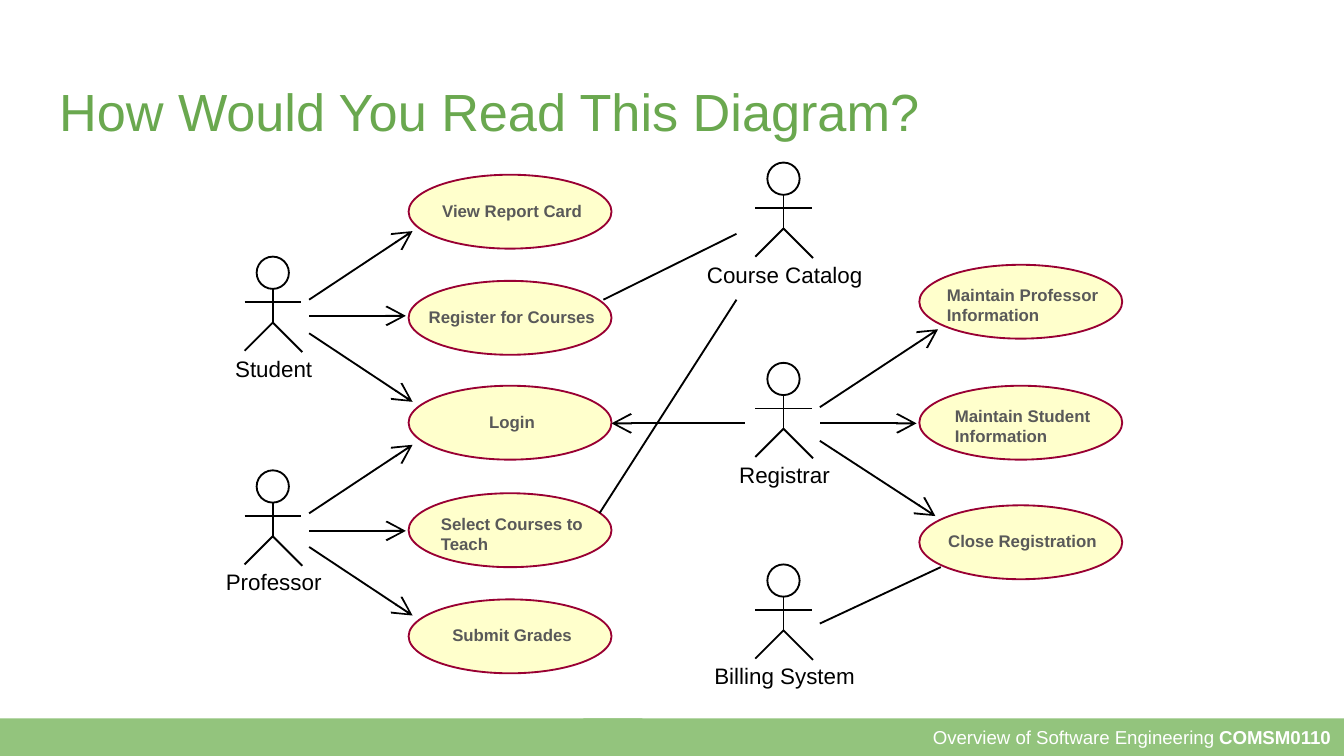
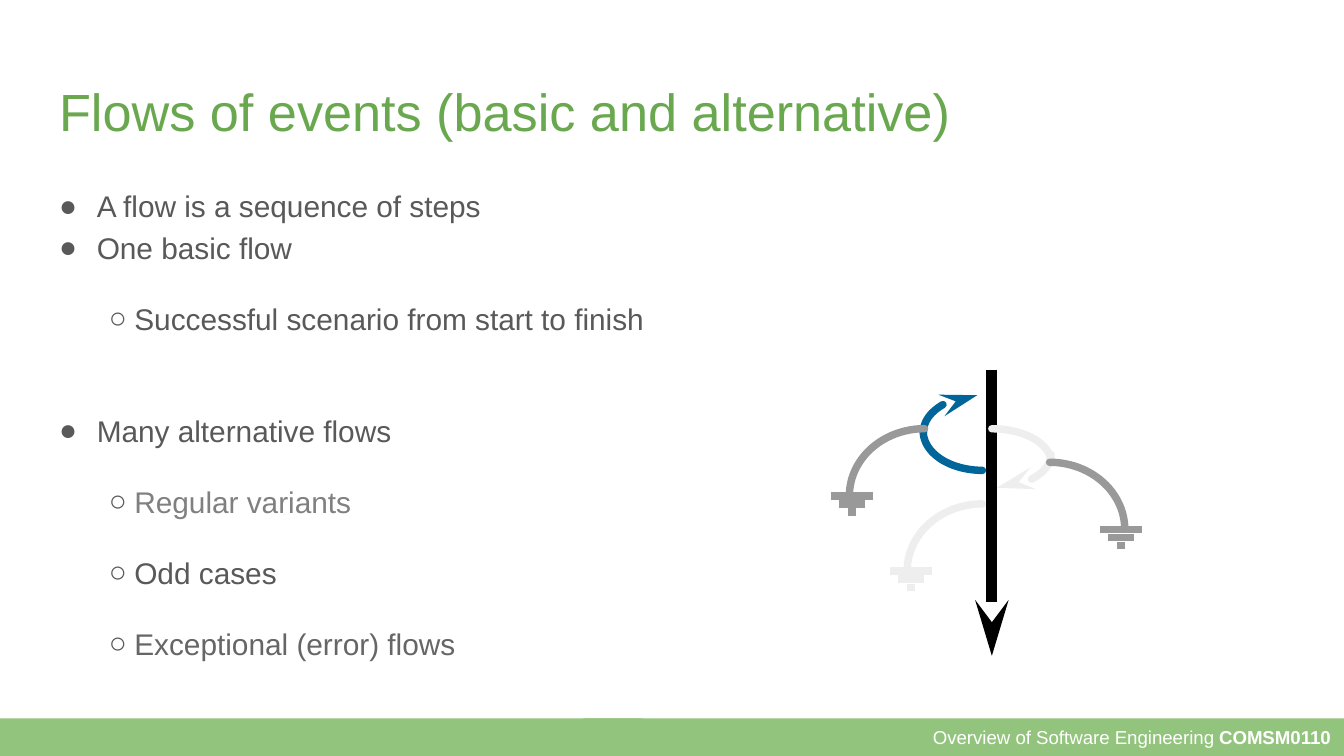
from dataclasses import dataclass
from math import cos, radians, sin

from lxml import etree
from pptx import Presentation
from pptx.dml.color import RGBColor
from pptx.enum.shapes import MSO_CONNECTOR, MSO_SHAPE
from pptx.enum.text import MSO_ANCHOR, MSO_AUTO_SIZE, PP_ALIGN
from pptx.oxml.ns import qn
from pptx.util import Inches, Pt

FONT = "Arial"
WHITE = RGBColor(0xFF, 0xFF, 0xFF)
BLACK = RGBColor(0x00, 0x00, 0x00)
BAND_GREEN = RGBColor(0x93, 0xC4, 0x7D)
TITLE_GREEN = RGBColor(0x6A, 0xA8, 0x4F)
TEXT_GREY = RGBColor(0x59, 0x59, 0x59)
VARIANT_GREY = RGBColor(0x80, 0x80, 0x80)
ERROR_GREY = RGBColor(0x66, 0x66, 0x66)
OVAL_FILL = RGBColor(0xFF, 0xFF, 0xCC)
OVAL_LINE = RGBColor(0x99, 0x00, 0x33)
FLOW_BLUE = RGBColor(0x00, 0x66, 0x99)
FLOW_GREY = RGBColor(0x99, 0x99, 0x99)
FLOW_PALE = RGBColor(0xEE, 0xEE, 0xEE)

PAGE_WIDTH = 10
PAGE_HEIGHT = PAGE_WIDTH * 9 / 16
BAND_HEIGHT = 0.28
LEFT_OVALS, RIGHT_OVALS = 3.04, 6.84
LEFT_ACTORS, RIGHT_ACTORS = 2.03, 5.83


@dataclass
class UseCase:
    lines: list[str]
    left: float
    top: float
    text_width: float


@dataclass
class Actor:
    name: str
    center: float
    top: float
    label_width: float


@dataclass
class Link:
    start: tuple[float, float]
    end: tuple[float, float]
    arrow: bool = True


@dataclass
class Arc:
    """A piece of an ellipse; angles in degrees, clockwise from the right."""
    center: tuple[float, float]
    radii: tuple[float, float]
    start: int
    end: int
    color: RGBColor
    arrow: bool = False


@dataclass
class Ground:
    center: float
    top: float
    color: RGBColor


@dataclass
class Bullet:
    text: str
    level: int = 0
    color: RGBColor = TEXT_GREY
    space_before: int = 0


USE_CASES = [
    UseCase(["View Report Card"], LEFT_OVALS, 1.3, 1.2),
    UseCase(["Register for Courses"], LEFT_OVALS, 2.09, 1.4),
    UseCase(["Login"], LEFT_OVALS, 2.87, 0.5),
    UseCase(["Select Courses to", "Teach"], LEFT_OVALS, 3.67, 1.22),
    UseCase(["Submit Grades"], LEFT_OVALS, 4.46, 1.05),
    UseCase(["Maintain Professor", "Information"], RIGHT_OVALS, 1.97, 1.29),
    UseCase(["Maintain Student", "Information"], RIGHT_OVALS, 2.87, 1.17),
    UseCase(["Close Registration"], RIGHT_OVALS, 3.76, 1.27),
]
ACTORS = [
    Actor("Student", LEFT_ACTORS, 1.91, 0.76),
    Actor("Professor", LEFT_ACTORS, 3.5, 0.9),
    Actor("Course Catalog", RIGHT_ACTORS, 1.21, 1.34),
    Actor("Registrar", RIGHT_ACTORS, 2.7, 0.86),
    Actor("Billing System", RIGHT_ACTORS, 4.2, 1.23),
]
LINKS = [
    Link((3.07, 1.72), (2.3, 2.23)),
    Link((3.02, 2.35), (2.3, 2.35)),
    Link((3.07, 2.99), (2.3, 2.48)),
    Link((3.07, 3.31), (2.3, 3.82)),
    Link((3.02, 3.95), (2.3, 3.95)),
    Link((3.07, 4.58), (2.3, 4.07)),
    Link((4.55, 3.15), (5.54, 3.15)),
    Link((6.98, 2.45), (6.1, 3.03)),
    Link((6.82, 3.15), (6.1, 3.15)),
    Link((6.96, 3.84), (6.1, 3.28)),
    Link((4.46, 3.82), (5.48, 2.23), arrow=False),
    Link((4.49, 2.23), (5.48, 1.74), arrow=False),
    Link((6.1, 4.64), (7, 4.22), arrow=False),
]
ARCS = [
    Arc((7.38, 3.44), (0.44, 0.25), -90, 0, FLOW_PALE),
    Arc((7.38, 3.38), (0.44, 0.25), 0, 85, FLOW_PALE, arrow=True),
    Arc((7.31, 3.21), (0.44, 0.29), 90, 180, FLOW_BLUE),
    Arc((7.31, 3.22), (0.44, 0.28), 180, 265, FLOW_BLUE, arrow=True),
    Arc((7.81, 3.94), (0.56, 0.5), -90, 0, FLOW_GREY),
    Arc((7.31, 4.25), (0.56, 0.5), 180, 270, FLOW_PALE),
    Arc((6.88, 3.69), (0.56, 0.5), 180, 270, FLOW_GREY),
]
GROUNDS = [
    Ground(8.34, 3.94, FLOW_GREY),
    Ground(6.78, 4.25, FLOW_PALE),
    Ground(6.34, 3.69, FLOW_GREY),
]
BULLETS = [
    Bullet("A flow is a sequence of steps"),
    Bullet("One basic flow"),
    Bullet("Successful scenario from start to finish", 1, space_before=16),
    Bullet("Many alternative flows", space_before=38),
    Bullet("Regular variants", 1, VARIANT_GREY, 16),
    Bullet("Odd cases", 1, space_before=16),
    Bullet("Exceptional (error) flows", 1, ERROR_GREY, 16),
]


def place(shape, left: float, top: float, width: float, height: float) -> None:
    shape.left, shape.top = Inches(left), Inches(top)
    shape.width, shape.height = Inches(width), Inches(height)


def set_margins(frame, across: float, down: float) -> None:
    frame.margin_left = frame.margin_right = Inches(across)
    frame.margin_top = frame.margin_bottom = Inches(down)


def format_runs(para, size: float, color: RGBColor, bold: bool = False) -> None:
    for span in para.runs:
        span.font.name = FONT
        span.font.size = Pt(size)
        span.font.color.rgb = color
        span.font.bold = bold


def set_line(shape, color: RGBColor, width: float) -> None:
    shape.line.color.rgb = color
    shape.line.width = Pt(width)


def add_arrowhead(shape, end: str, kind: str, width: str) -> None:
    outline = shape._element.spPr.find(qn("a:ln"))
    etree.SubElement(outline, qn(f"a:{end}"), type=kind, w=width, len="lg")


def add_line(page, start, end, color: RGBColor = BLACK, width: float = 1):
    line = page.shapes.add_connector(
        MSO_CONNECTOR.STRAIGHT, *(Inches(value) for value in (*start, *end)))
    set_line(line, color, width)
    etree.SubElement(line._element.spPr, qn("a:effectLst"))
    return line


def add_outline(page, points, color: RGBColor, width: float):
    """Draw an open, unfilled outline through the points."""
    corners = [(Inches(x), Inches(y)) for x, y in points]
    builder = page.shapes.build_freeform(*corners[0])
    builder.add_line_segments(corners[1:], close=False)
    outline = builder.convert_to_shape()
    outline.shadow.inherit = False
    outline.fill.background()
    set_line(outline, color, width)
    return outline


def add_preset(page, kind, left: float, top: float, width: float, height: float):
    shape = page.shapes.add_shape(
        kind, Inches(left), Inches(top), Inches(width), Inches(height))
    shape.shadow.inherit = False
    return shape


def add_label(page, lines, left, top, width, height, margin, size, color,
              bold=False) -> None:
    box = page.shapes.add_textbox(
        Inches(left), Inches(top), Inches(width), Inches(height))
    frame = box.text_frame
    set_margins(frame, margin, 0.04)
    frame.word_wrap = False
    frame.auto_size = MSO_AUTO_SIZE.SHAPE_TO_FIT_TEXT
    frame.text = "\n".join(lines)
    for para in frame.paragraphs:
        format_runs(para, size, color, bold)


def add_footer(page) -> None:
    bands = [add_preset(page, MSO_SHAPE.RECTANGLE, left,
                        PAGE_HEIGHT - BAND_HEIGHT, width, BAND_HEIGHT)
             for left, width in ((4.34, 5.66), (0, 4.78))]
    for band in bands:
        band.fill.solid()
        band.fill.fore_color.rgb = BAND_GREEN
        band.line.fill.background()
    frame = bands[0].text_frame
    set_margins(frame, 0.1, 0.1)
    frame.vertical_anchor = MSO_ANCHOR.MIDDLE
    para = frame.paragraphs[0]
    para.alignment = PP_ALIGN.RIGHT
    for text in ("Overview of Software Engineering ", "COMSM0110"):
        para.add_run().text = text
    format_runs(para, 10, WHITE)
    para.runs[1].font.bold = True


def add_page(deck, layout: int, title: str):
    page = deck.slides.add_slide(deck.slide_layouts[layout])
    add_footer(page)
    place(page.shapes.title, 0.34, 0.49, 9.32, 0.63)
    frame = page.shapes.title.text_frame
    set_margins(frame, 0.1, 0.1)
    frame.vertical_anchor = MSO_ANCHOR.TOP
    frame.auto_size = MSO_AUTO_SIZE.NONE
    frame.text = title
    frame.paragraphs[0].alignment = PP_ALIGN.LEFT
    format_runs(frame.paragraphs[0], 28, TITLE_GREEN)
    return page


def add_use_case(page, case: UseCase) -> None:
    oval = add_preset(page, MSO_SHAPE.OVAL, case.left, case.top, 1.51, 0.55)
    oval.fill.solid()
    oval.fill.fore_color.rgb = OVAL_FILL
    set_line(oval, OVAL_LINE, 1)
    drop, height = (0.15, 0.23) if len(case.lines) == 1 else (0.11, 0.38)
    add_label(page, case.lines, case.left + 0.77 - case.text_width / 2,
              case.top + drop, case.text_width, height, 0.08, 9, TEXT_GREY, bold=True)


def add_actor(page, actor: Actor) -> None:
    x, y = actor.center, actor.top
    head = add_preset(page, MSO_SHAPE.OVAL, x - 0.12, y, 0.24, 0.24)
    head.fill.background()
    set_line(head, BLACK, 1)
    hip = (x, y + 0.49)
    add_line(page, (x, y + 0.24), hip)
    add_line(page, (x - 0.21, y + 0.34), (x + 0.21, y + 0.34))
    add_outline(page, [(x - 0.21, y + 0.7), hip, (x + 0.22, y + 0.71)], BLACK, 1)
    add_label(page, [actor.name], x + 0.01 - actor.label_width / 2, y + 0.69,
              actor.label_width, 0.29, 0.09, 12, BLACK)


def add_arc(page, arc: Arc, steps: int = 24) -> None:
    angles = [radians(arc.start + (arc.end - arc.start) * step / steps)
              for step in range(steps + 1)]
    points = [(arc.center[0] + arc.radii[0] * cos(angle),
               arc.center[1] + arc.radii[1] * sin(angle)) for angle in angles]
    curve = add_outline(page, points, arc.color, 4)
    curve._element.spPr.find(qn("a:ln")).set("cap", "rnd")
    if arc.arrow:
        add_arrowhead(curve, "tailEnd", "stealth", "med")


def add_ground(page, ground: Ground) -> None:
    for row, width in enumerate((0.31, 0.19, 0.06)):
        y = ground.top + row * 0.06
        add_line(page, (ground.center - width / 2, y),
                 (ground.center + width / 2, y), ground.color, 4)


def format_bullet(para, bullet: Bullet) -> None:
    para.level = bullet.level
    para.line_spacing = 1.15
    para.space_before = Pt(bullet.space_before)
    para.space_after = Pt(0)
    indent, hanging, mark = ((0.28, 0.28, "●"), (0.56, 0.19, "○"))[bullet.level]
    properties = para._p.get_or_add_pPr()
    properties.set("marL", str(Inches(indent)))
    properties.set("indent", str(-Inches(hanging)))
    color = etree.SubElement(properties, qn("a:buClr"))
    etree.SubElement(color, qn("a:srgbClr"), val=str(TEXT_GREY))
    etree.SubElement(properties, qn("a:buFont"), typeface=FONT)
    etree.SubElement(properties, qn("a:buChar"), char=mark)
    format_runs(para, 16, bullet.color)


def build_diagram_page(deck) -> None:
    page = add_page(deck, 5, "How Would You Read This Diagram?")
    for case in USE_CASES:
        add_use_case(page, case)
    for actor in ACTORS:
        add_actor(page, actor)
    for link in LINKS:
        line = add_line(page, link.start, link.end)
        if link.arrow:
            add_arrowhead(line, "headEnd", "arrow", "lg")


def build_flows_page(deck) -> None:
    page = add_page(deck, 1, "Flows of events (basic and alternative)")
    body = page.placeholders[1]
    place(body, 0.34, 1.26, 9.32, 3.74)
    frame = body.text_frame
    set_margins(frame, 0.1, 0.1)
    frame.auto_size = MSO_AUTO_SIZE.NONE
    frame.text = "\n".join(bullet.text for bullet in BULLETS)
    for para, bullet in zip(frame.paragraphs, BULLETS):
        format_bullet(para, bullet)
    basic_flow = add_line(page, (7.38, 2.75), (7.38, 4.88), width=6)
    add_arrowhead(basic_flow, "tailEnd", "stealth", "med")
    for arc in ARCS:
        add_arc(page, arc)
    for ground in GROUNDS:
        add_ground(page, ground)


def main() -> None:
    deck = Presentation()
    deck.slide_width, deck.slide_height = Inches(PAGE_WIDTH), Inches(PAGE_HEIGHT)
    build_diagram_page(deck)
    build_flows_page(deck)
    deck.save("out.pptx")


if __name__ == "__main__":
    main()
